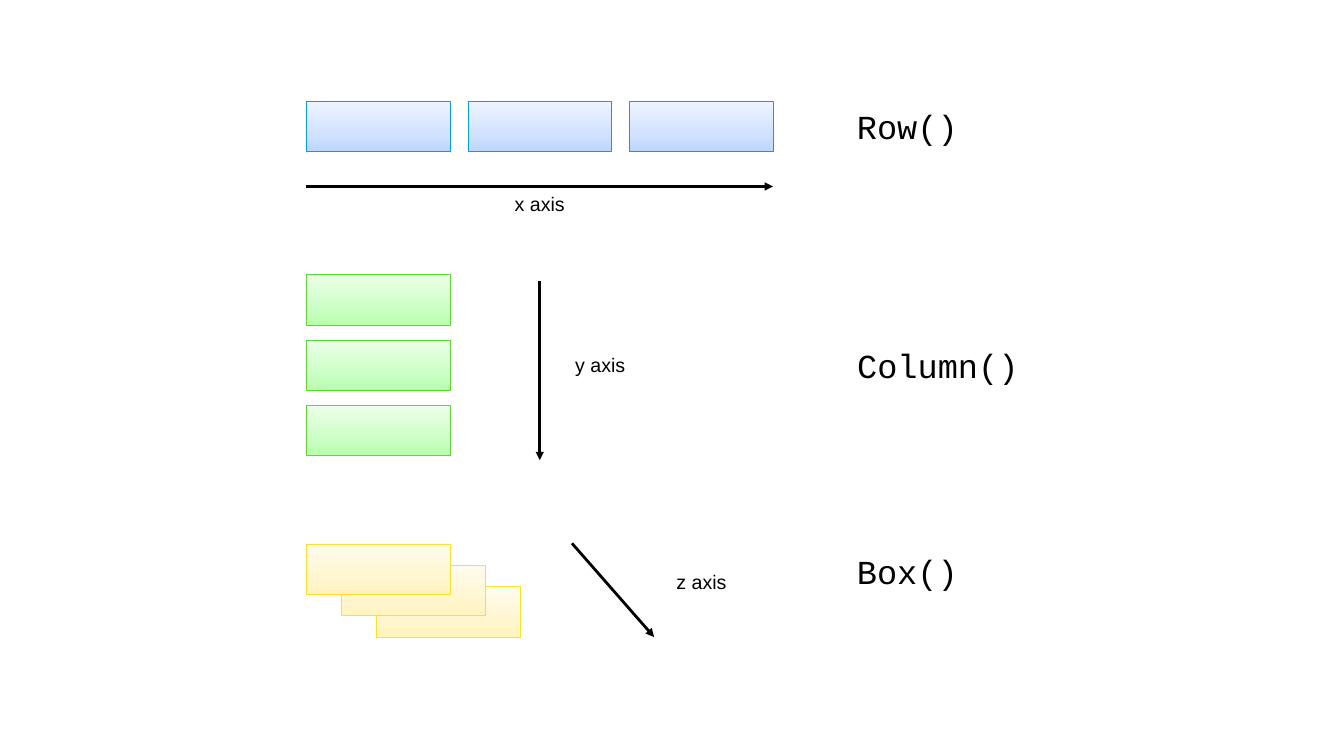
from copy import deepcopy
from dataclasses import dataclass

from pptx import Presentation
from pptx.dml.color import RGBColor
from pptx.enum.shapes import MSO_CONNECTOR, MSO_SHAPE
from pptx.enum.text import MSO_ANCHOR, MSO_AUTO_SIZE, PP_ALIGN
from pptx.oxml.ns import qn
from pptx.util import Emu, Pt
from lxml.etree import SubElement


@dataclass(frozen=True)
class Theme:
    ink: str = "000000"
    blue: tuple = ("009EF9", "BDD7FF", "D1E2FF", "EEF4FF")  # line, then stops
    green: tuple = ("5DD731", "B8FFAC", "CCFFC5", "ECFFE9")
    yellow: tuple = ("F9E12C", "FFF3BC", "FFF6D0", "FFFBED")
    stops: tuple = (0, 0.35, 1)
    code: tuple = ("Courier New", 48)
    label: tuple = ("Arial", 28)
    outline: float = 0.75
    arrow: float = 4


THEME = Theme()
PX = 9144  # 100 px to the inch
TILE_W, TILE_H, TILES = 285, 100, 3
LEFT, NAME_X = 608, 1086


def px(*values):
    return [Emu(round(v * PX)) for v in values]


def add_tile(shapes, x, y, palette):
    sp = shapes.add_shape(MSO_SHAPE.RECTANGLE, *px(x, y, TILE_W, TILE_H))
    sp.shadow.inherit = False
    line, *colors = palette
    sp.fill.gradient()
    sp.fill.gradient_angle = 90
    first = sp.fill._fill._gradFill.gsLst[0]
    first.addnext(deepcopy(first))
    for stop, color, position in zip(sp.fill.gradient_stops, colors, THEME.stops):
        stop.color.rgb = RGBColor.from_string(color)
        stop.position = position
    sp.line.color.rgb = RGBColor.from_string(line)
    sp.line.width = Pt(THEME.outline)


def add_tiles(s, box, palette):
    """Spread the tiles evenly from the top left to the bottom right of box."""
    x, y, w, h = box
    dx, dy = (w - TILE_W) / (TILES - 1), (h - TILE_H) / (TILES - 1)
    group = s.shapes.add_group_shape()
    for i in reversed(range(TILES)):  # first tile in front
        add_tile(group.shapes, x + i * dx, y + i * dy, palette)


def add_arrow(s, x1, y1, x2, y2):
    line = s.shapes.add_connector(MSO_CONNECTOR.STRAIGHT, *px(x1, y1, x2, y2))
    line.line.color.rgb = RGBColor.from_string(THEME.ink)
    line.line.width = Pt(THEME.arrow)
    SubElement(line.line._get_or_add_ln(), qn("a:tailEnd"), type="triangle")
    SubElement(line._element.spPr, qn("a:effectLst"))


def add_text(s, text, box, style):
    tf = s.shapes.add_textbox(*px(*box)).text_frame
    margin, = px(6)
    frame = dict(word_wrap=False, auto_size=MSO_AUTO_SIZE.SHAPE_TO_FIT_TEXT,
                 vertical_anchor=MSO_ANCHOR.MIDDLE, margin_left=margin,
                 margin_right=margin, margin_top=margin, margin_bottom=margin)
    for key, value in frame.items():
        setattr(tf, key, value)
    p = tf.paragraphs[0]
    p.alignment = PP_ALIGN.CENTER
    r = p.add_run()
    r.text = text
    name, size = style
    for key, value in dict(name=name, size=Pt(size)).items():
        setattr(r.font, key, value)
    r.font.color.rgb = RGBColor.from_string(THEME.ink)


def add_layout(s, box, palette, arrow, axis, axis_at, name, name_box):
    """Tiles, axis arrow, axis label and function name, all relative to box."""
    x, y = box[:2]
    add_tiles(s, box, palette)
    x1, y1, x2, y2 = arrow
    add_arrow(s, x + x1, y + y1, x + x2, y + y2)
    add_text(s, axis, (x + axis_at[0], y + axis_at[1], 112, 58), THEME.label)
    top, width = name_box
    add_text(s, name, (x + NAME_X, y + top, width, 92), THEME.code)


def main():
    prs = Presentation()
    prs.slide_width, prs.slide_height = px(2667, 1500)
    s = prs.slides.add_slide(prs.slide_layouts[6])

    # Row: tiles side by side
    add_layout(s, (LEFT, 200, 926, TILE_H), THEME.blue, (0, 170, 926, 170),
               "x axis", (407, 175), "Row()", (4, 213))
    # Column: tiles one below the other
    add_layout(s, (LEFT, 545, TILE_W, 359), THEME.green, (463, 12, 463, 368),
               "y axis", (527, 150), "Column()", (133, 334))
    # Box: tiles stacked in depth
    add_layout(s, (LEFT, 1079, 424, 185), THEME.yellow, (527, -1, 690, 185),
               "z axis", (728, 46), "Box()", (8, 213))

    prs.save("out.pptx")


if __name__ == "__main__":
    main()
